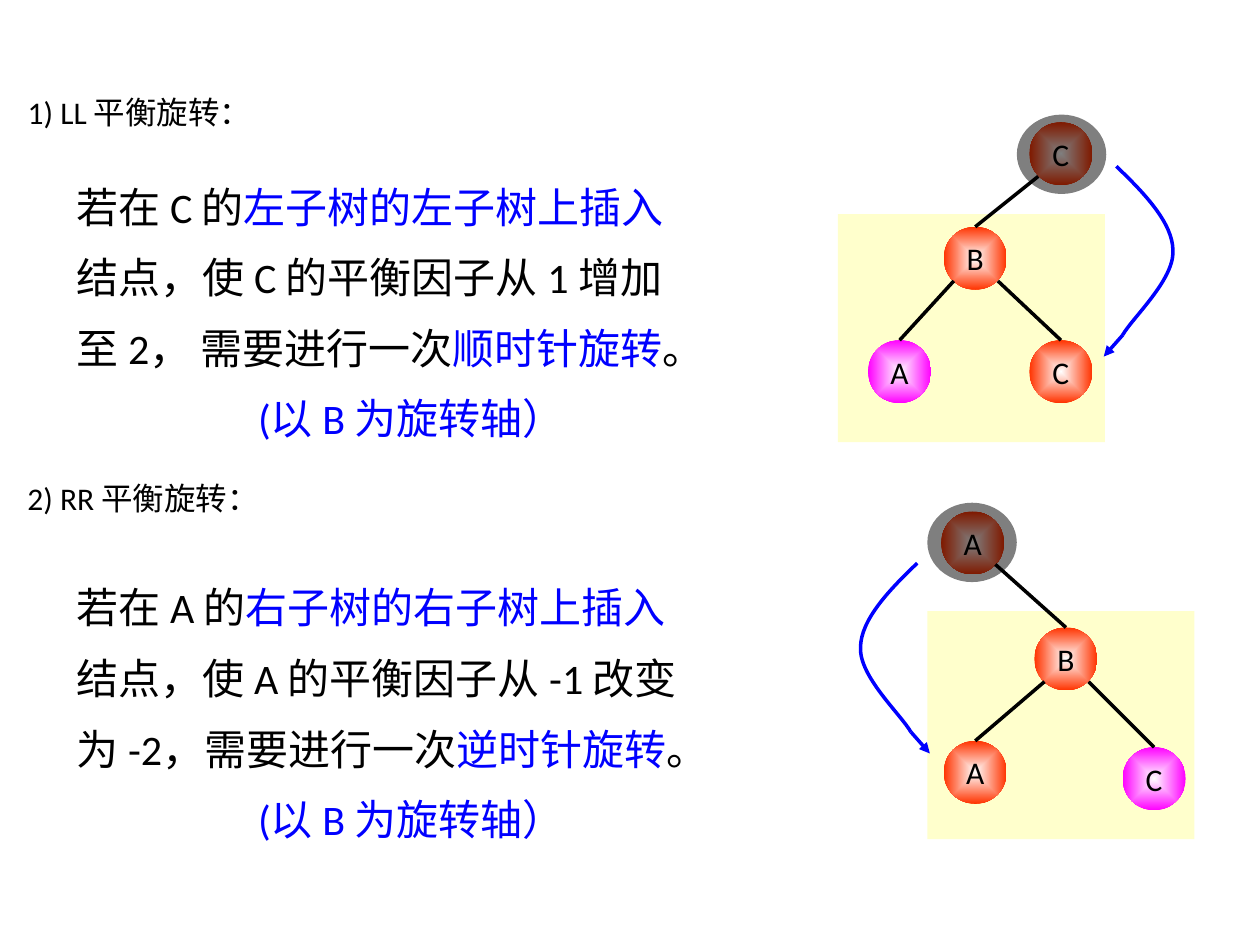
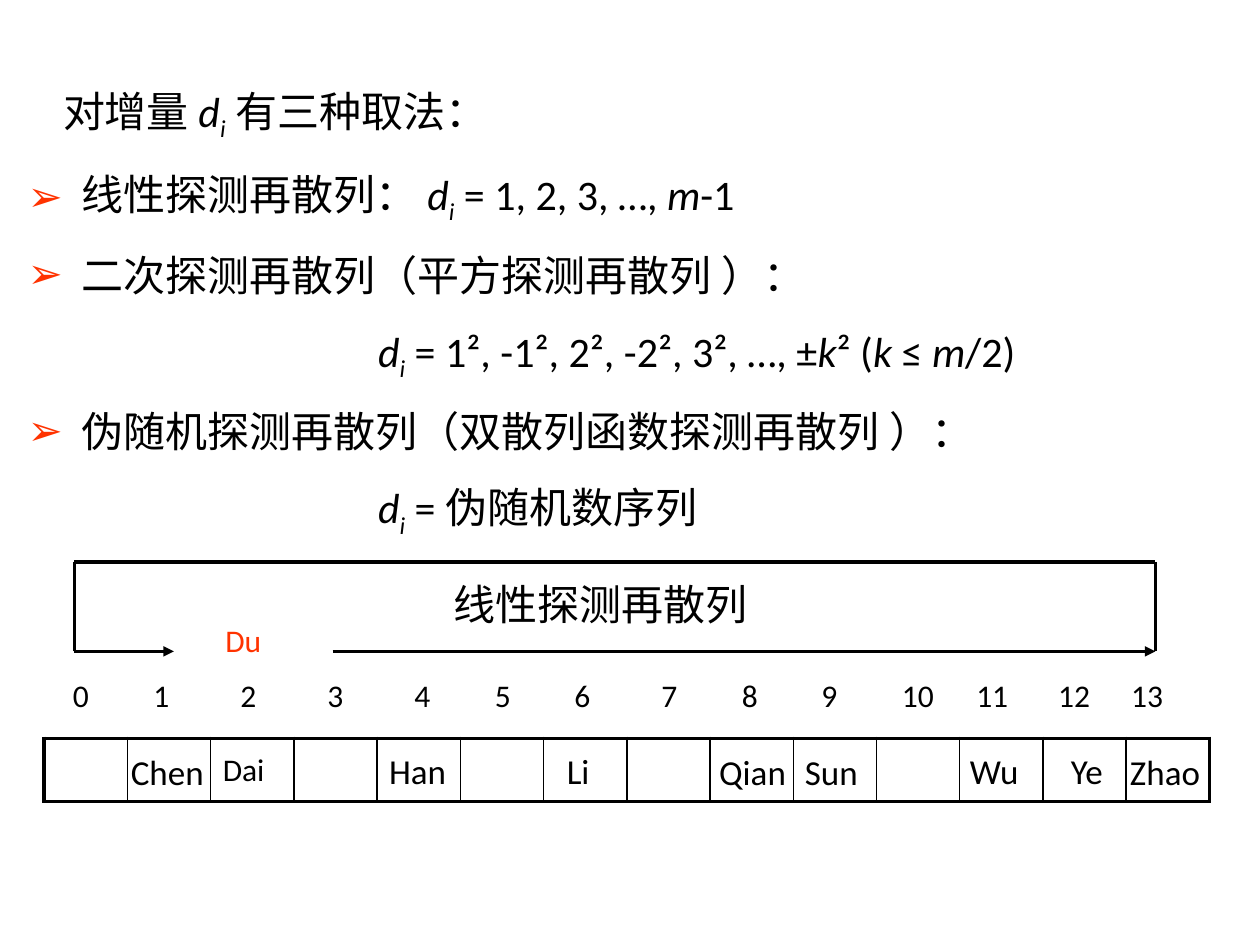
from dataclasses import dataclass

from lxml import etree
from pptx import Presentation
from pptx.dml.color import RGBColor
from pptx.enum.shapes import MSO_CONNECTOR, MSO_SHAPE
from pptx.enum.text import MSO_ANCHOR, MSO_AUTO_SIZE, PP_ALIGN
from pptx.oxml import parse_xml
from pptx.oxml.ns import nsdecls, qn
from pptx.util import Inches, Pt

STRAIGHT = MSO_CONNECTOR.STRAIGHT
RECTANGLE, OVAL = MSO_SHAPE.RECTANGLE, MSO_SHAPE.OVAL
MIDDLE, TOP = MSO_ANCHOR.MIDDLE, MSO_ANCHOR.TOP
LEFT, CENTER, JUSTIFY = PP_ALIGN.LEFT, PP_ALIGN.CENTER, PP_ALIGN.JUSTIFY
NO_FIT = MSO_AUTO_SIZE.NONE

BLACK, BLUE, RED, PINK = "000000", "0000FF", "FF3300", "FF00FF"
WHITE, CREAM = "FFFFFF", "FFFFCC"
LATIN, CHINESE = "Calibri", "Noto Sans CJK SC"
NODE_SIZE = 0.5


@dataclass(frozen=True)
class Span:
    text: str
    color: str = BLACK
    font: str = LATIN
    italic: bool = False
    subscript: bool = False


@dataclass(frozen=True)
class Line:
    spans: tuple[Span, ...]
    align: int = LEFT
    indent: float = 0
    bullet: bool = False


@dataclass(frozen=True)
class Node:
    """A tree node; edge_start is where the edge leaves its parent."""
    label: str
    left: float
    top: float
    color: str = RED
    edge_start: tuple[float, float] | None = None


@dataclass(frozen=True)
class Rotation:
    explanation_top: float
    lines: tuple[Line, ...]
    backdrop: tuple[float, float]
    nodes: tuple[Node, ...]
    shade: tuple[float, float]
    arc_start: tuple[float, float]
    arc_side: int


@dataclass(frozen=True)
class Key:
    name: str
    left: float
    top: float = 5.91
    size: int = 20
    spacing: float = 1


def rgb(color: str) -> RGBColor:
    return RGBColor.from_string(color)


def write_span(para, span: Span, size: float) -> None:
    run = para.add_run()
    run.text = span.text
    run.font.size, run.font.name = Pt(size), span.font
    run.font.color.rgb = rgb(span.color)
    run.font.italic = span.italic
    if span.subscript:
        run.font._element.set("baseline", "-25000")


def write_lines(frame, lines, *, size=18, spacing=1.0, anchor=TOP) -> None:
    frame.word_wrap = True
    frame.auto_size = NO_FIT
    frame.vertical_anchor = anchor
    for index, line in enumerate(lines):
        para = frame.add_paragraph() if index else frame.paragraphs[0]
        para.alignment, para.line_spacing = line.align, spacing
        for span in line.spans:
            write_span(para, span, size)


def add_text(slide, text, left, top, width, height, *, size=18, color=BLACK, spacing=1.0):
    box = slide.shapes.add_textbox(Inches(left), Inches(top), Inches(width), Inches(height))
    write_lines(box.text_frame, [Line((Span(text, color),))], size=size, spacing=spacing)
    return box


def place(shape, left, top, width, height) -> None:
    shape.left, shape.top = Inches(left), Inches(top)
    shape.width, shape.height = Inches(width), Inches(height)


def add_plain_shape(slide, kind, left, top, width, height, color):
    shape = slide.shapes.add_shape(kind, Inches(left), Inches(top), Inches(width), Inches(height))
    shape.shadow.inherit = False
    shape.line.fill.background()
    shape.fill.solid()
    shape.fill.fore_color.rgb = rgb(color)
    return shape


def add_line(slide, start, end, *, color=BLACK, arrow=False):
    points = [Inches(value) for value in (*start, *end)]
    line = slide.shapes.add_connector(STRAIGHT, *points)
    line.line.color.rgb, line.line.width = rgb(color), Pt(2)
    if arrow:
        etree.SubElement(line.line._get_or_add_ln(), qn("a:tailEnd"), type="triangle")
    etree.SubElement(line._element.spPr, qn("a:effectLst"))
    return line


def add_node(slide, node: Node) -> None:
    shape = add_plain_shape(slide, OVAL, node.left, node.top, NODE_SIZE, NODE_SIZE, node.color)
    solid = shape._element.spPr.find(qn("a:solidFill"))
    gradient = parse_xml(
        f'<a:gradFill {nsdecls("a")} rotWithShape="1"><a:gsLst>'
        f'<a:gs pos="0"><a:srgbClr val="{WHITE}"/></a:gs>'
        f'<a:gs pos="100000"><a:srgbClr val="{node.color}"/></a:gs></a:gsLst>'
        '<a:path path="shape"><a:fillToRect l="50000" t="50000" r="50000" b="50000"/></a:path>'
        '</a:gradFill>')
    solid.getparent().replace(solid, gradient)
    frame = shape.text_frame
    write_lines(frame, [Line((Span(node.label),), CENTER)], anchor=MIDDLE)
    frame.word_wrap = False
    frame.margin_left = frame.margin_right = frame.margin_top = frame.margin_bottom = 0
    if node.edge_start:
        edge = add_line(slide, node.edge_start, (node.left + NODE_SIZE / 2, node.top))
        edge.end_connect(shape, 0)


def add_rotation_arc(slide, start, side: int) -> None:
    """Draw two Bezier curves and an arrow tip, bulging right (1) or left (-1)."""
    offsets = [(0, 0), (0.22, 0.21), (0.45, 0.45), (0.45, 0.67),
               (0.46, 0.9), (0.13, 1.2), (0.05, 1.34), (-0.1, 1.51)]
    points = [(start[0] + side * x, start[1] + y) for x, y in offsets]
    *curve, tip = points
    controls = [(Inches(x), Inches(y)) for x, y in curve]
    builder = slide.shapes.build_freeform(*controls[0])
    builder.add_line_segments(controls[1:], close=False)
    arc = builder.convert_to_shape()
    arc.shadow.inherit = False
    arc.fill.background()
    arc.line.color.rgb, arc.line.width = rgb(BLUE), Pt(2)
    segments = arc._element.xpath(".//a:lnTo")
    for first in range(0, len(segments), 3):
        bezier = etree.SubElement(segments[first].getparent(), qn("a:cubicBezTo"))
        for segment in segments[first:first + 3]:
            bezier.append(segment[0])
            segment.getparent().remove(segment)
    add_line(slide, curve[-1], tip, color=BLUE, arrow=True)


def explain(root, side, change, end, turn) -> tuple[Line, ...]:
    return (
        Line((Span(f"若在 {root} 的"), Span(f"{side}子树的{side}子树上插入", BLUE))),
        Line((Span(f"结点，使 {root} 的平衡因子从 {change}"),)),
        Line((Span(f"{end}需要进行一次"), Span(f"{turn}时针旋转", BLUE), Span("。"))),
        Line((Span("(以 B 为旋转轴）", BLUE),), CENTER),
    )


ROTATIONS = (
    Rotation(1.23, explain("C", "左", "1 增加", "至 2， ", "顺"), (6.65, 1.7),
             (Node("C", 8.17, 0.97),
              Node("B", 7.49, 1.8, edge_start=(8.24, 1.4)),
              Node("C", 8.17, 2.7, edge_start=(7.92, 2.23)),
              Node("A", 6.89, 2.7, PINK, (7.57, 2.23))),
             (8.07, 0.91), (8.86, 1.32), 1),
    Rotation(4.41, explain("A", "右", "-1 改变", "为 -2，", "逆"), (7.36, 4.85),
             (Node("A", 7.47, 4.06),
              Node("B", 8.21, 4.98, edge_start=(7.9, 4.48)),
              Node("C", 8.91, 5.93, PINK, (8.64, 5.41)),
              Node("A", 7.49, 5.88, edge_start=(8.29, 5.41))),
             (7.36, 3.99), (7.28, 4.47), -1),
)


def add_rotation(slide, rotation: Rotation) -> None:
    add_plain_shape(slide, RECTANGLE, *rotation.backdrop, 2.12, 1.81, CREAM)
    box = slide.shapes.add_textbox(
        Inches(0.51), Inches(rotation.explanation_top), Inches(5.51), Inches(2.34))
    write_lines(box.text_frame, rotation.lines, size=24, spacing=1.4)
    for node in rotation.nodes:
        add_node(slide, node)
    shade = add_plain_shape(slide, OVAL, *rotation.shade, 0.71, 0.63, BLACK)
    color = shape_color = shade._element.spPr.find(qn("a:solidFill"))[0]
    etree.SubElement(shape_color, qn("a:alpha"), val="50000")
    add_rotation_arc(slide, rotation.arc_start, rotation.arc_side)


def build_rotation_slide(deck) -> None:
    slide = deck.slides.add_slide(deck.slide_layouts[5])
    title = slide.shapes.title
    place(title, 0.12, 0.63, 3.15, 0.52)
    write_lines(title.text_frame, [Line((Span("1) LL 平衡旋转："),))], anchor=MIDDLE)
    add_text(slide, "2) RR 平衡旋转：", 0.12, 3.75, 2.96, 0.5)
    for rotation in ROTATIONS:
        add_rotation(slide, rotation)


def italic(text: str) -> Span:
    return Span(text, italic=True)


INCREMENT = (italic("d"), Span("i", italic=True, subscript=True))
PROBING_LINES = (
    Line((Span("对增量 "), *INCREMENT, Span(" 有三种取法：")), JUSTIFY, 0.28),
    Line((Span("线性探测再散列： "), *INCREMENT, Span(" = 1, 2, 3, …, "), italic("m"),
          Span("-1")), indent=0.43, bullet=True),
    Line((Span("二次探测再散列（"), Span("平方探测再散列 ", font=CHINESE), Span("）：")),
         indent=0.43, bullet=True),
    Line((*INCREMENT, Span(" = 1², -1², 2², -2², 3², …, ±"), italic("k"), Span("² ("),
          italic("k "), Span("≤ "), italic("m"), Span("/2)")), indent=2.78),
    Line((Span("伪随机探测再散列（"), Span("双散列函数探测再散列 ", font=CHINESE), Span("）：")),
         indent=0.43, bullet=True),
    Line((*INCREMENT, Span(" = 伪随机数序列")), indent=2.78),
)
INDEX_STOPS = (0.64, 1.33, 2.02, 2.71, 3.35, 3.98, 4.67, 5.31, 5.94, 6.58, 7.17, 7.82, 8.4)
SLOT_COUNT = len(INDEX_STOPS) + 1
KEYS = (
    Key("Dai", 1.67, 6.01, 18, 0.6), Key("Chen", 0.94), Key("Zhao", 8.87),
    Key("Qian", 5.61), Key("Sun", 6.29), Key("Li", 4.4, 5.9), Key("Wu", 7.6, 5.9),
    Key("Han", 2.99, 5.9), Key("Ye", 8.4, 5.9),
)


def indent_paragraph(para, line: Line) -> None:
    properties = para._p.get_or_add_pPr()
    properties.set("marL", str(Inches(line.indent)))
    properties.set("indent", str(-Inches(line.indent) if line.bullet else 0))
    if line.bullet:
        color = etree.SubElement(properties, qn("a:buClr"))
        etree.SubElement(color, qn("a:srgbClr"), val=RED)
        etree.SubElement(properties, qn("a:buFont"), typeface=LATIN)
        etree.SubElement(properties, qn("a:buChar"), char="➢")
    else:
        etree.SubElement(properties, qn("a:buNone"))


def add_probing_list(slide) -> None:
    body = slide.placeholders[1]
    place(body, 0.12, 0.6, 9.5, 3.62)
    write_lines(body.text_frame, PROBING_LINES, size=24, spacing=1.3, anchor=MIDDLE)
    body.text_frame.paragraphs[0].space_before = Pt(0)
    for para, line in zip(body.text_frame.paragraphs, PROBING_LINES):
        indent_paragraph(para, line)


def add_slot_indexes(slide) -> None:
    box = add_text(slide, "\t".join(map(str, range(SLOT_COUNT))), 0.48, 5.32, 9.1, 0.4)
    properties = box.text_frame.paragraphs[0]._p.get_or_add_pPr()
    stops = etree.SubElement(properties, qn("a:tabLst"))
    for stop in INDEX_STOPS:
        etree.SubElement(stops, qn("a:tab"), pos=str(Inches(stop)), algn="l")


def add_hash_table(slide) -> None:
    frame = slide.shapes.add_table(
        1, SLOT_COUNT, Inches(0.35), Inches(5.86), Inches(9.25), Inches(0.5))
    table = frame.table
    table.first_row = table.horz_banding = False
    for index, cell in enumerate(table.rows[0].cells):
        cell.fill.background()
        widths = {"lnL": 1 if index else 2.25, "lnR": 1 if index < SLOT_COUNT - 1 else 2.25,
                  "lnT": 2.25, "lnB": 2.25}
        for position, (side, width) in enumerate(widths.items()):
            border = parse_xml(
                f'<a:{side} {nsdecls("a")} w="{Pt(width)}"><a:solidFill>'
                f'<a:srgbClr val="{BLACK}"/></a:solidFill></a:{side}>')
            cell._tc.get_or_add_tcPr().insert(position, border)


def add_probe_loop(slide) -> None:
    left, right, top, bottom = 0.59, 9.17, 4.46, 5.17
    add_text(slide, "线性探测再散列", 3.5, 4.54, 2.62, 0.5, size=24)
    for start, end in (((right, bottom), (right, top)), ((left, top), (right, top)),
                       ((left, bottom), (left, top))):
        add_line(slide, start, end)
    for start, end in ((left, 1.38), (2.64, right)):
        add_line(slide, (start, bottom), (end, bottom), arrow=True)
    add_text(slide, "Du", 1.69, 4.88, 0.71, 0.5, color=RED)


def build_probing_slide(deck) -> None:
    slide = deck.slides.add_slide(deck.slide_layouts[1])
    title = slide.shapes.title._element
    title.getparent().remove(title)
    add_probing_list(slide)
    add_slot_indexes(slide)
    add_hash_table(slide)
    for key in KEYS:
        add_text(slide, key.name, key.left, key.top, 0.9, 0.43,
                 size=key.size, spacing=key.spacing)
    add_probe_loop(slide)


def main() -> None:
    deck = Presentation()
    deck.slide_width, deck.slide_height = Inches(10), Inches(7.5)
    build_rotation_slide(deck)
    build_probing_slide(deck)
    deck.save("out.pptx")


if __name__ == "__main__":
    main()
